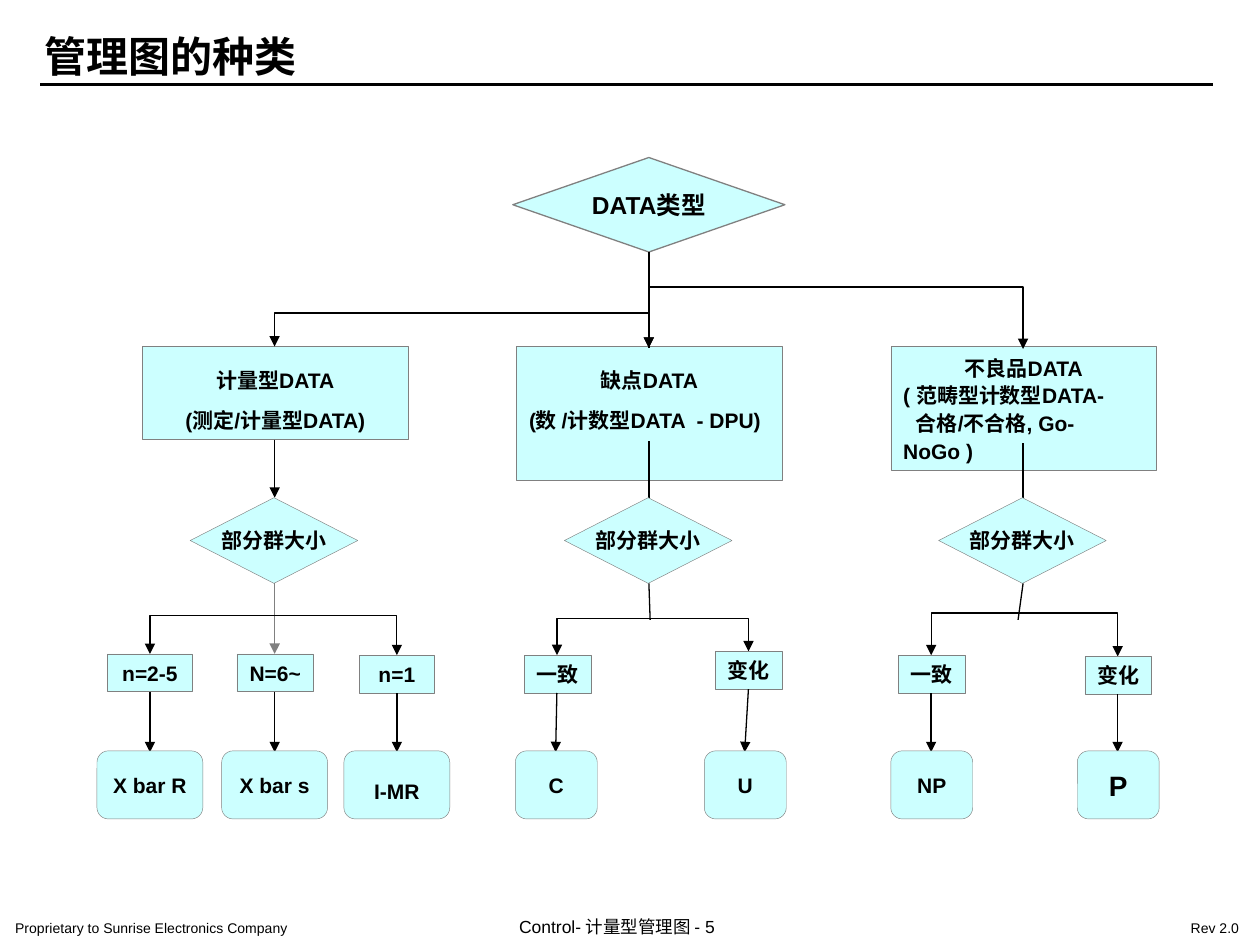
from lxml.etree import SubElement
from pptx import Presentation
from pptx.dml.color import RGBColor
from pptx.enum.shapes import MSO_CONNECTOR as LINK, MSO_SHAPE as KIND
from pptx.enum.text import MSO_ANCHOR, MSO_AUTO_SIZE, PP_ALIGN
from pptx.oxml.ns import qn
from pptx.util import Pt

PX = 9144  # 100 px to the inch
BLACK, GREY, AQUA = "000000", "808080", "CCFFFF"


def color(code):
    return RGBColor.from_string(code)


def write(frame, lines, size, bold=True, align=PP_ALIGN.CENTER, wrap=False,
          pad=(10, 5), anchor=MSO_ANCHOR.TOP, space=None):
    frame.word_wrap = wrap
    frame.auto_size = MSO_AUTO_SIZE.NONE
    frame.vertical_anchor = anchor
    frame.margin_left = frame.margin_right = pad[0] * PX
    frame.margin_top = frame.margin_bottom = pad[1] * PX
    frame.text = "\n".join(lines)
    for para in frame.paragraphs:
        para.alignment = align
        para.line_spacing = space
        para.font.name = "Arial"
        para.font.size = Pt(size)
        para.font.bold = bold
        para.font.color.rgb = color(BLACK)


def block(slide, kind, x, y, w, h, lines, size=12, edge=0.25, **style):
    shape = slide.shapes.add_shape(kind, x * PX, y * PX, w * PX, h * PX)
    shape.shadow.inherit = False
    shape.fill.solid()
    shape.fill.fore_color.rgb = color(AQUA)
    shape.line.color.rgb = color(GREY)
    shape.line.width = Pt(edge)
    write(shape.text_frame, lines, size, **style)
    return shape


def link(slide, x1, y1, x2, y2, ends=(), tint=BLACK, kind=LINK.STRAIGHT, width=0.75):
    line = slide.shapes.add_connector(kind, x1 * PX, y1 * PX, x2 * PX, y2 * PX)
    line.line.color.rgb = color(tint)
    line.line.width = Pt(width)
    for end in ends:
        SubElement(line.line._ln, qn("a:" + end), type="triangle")
    SubElement(line.element.spPr, qn("a:effectLst"))
    return line


def fork(slide, x1, y1, x2, y2, top):
    """Double-headed elbow that rises from both ends to a bar at top."""
    tall, wide = abs(y2 - y1), x2 - x1
    left, high = (x1 + x2 - tall) / 2, (y1 + y2 - wide) / 2
    line = link(slide, left, high, left + tall, high + wide,
                ("headEnd", "tailEnd"), kind=LINK.ELBOW)
    # A turned elbow: the bar's height is a share of the end-to-end drop
    form = line.element.spPr.find(qn("a:xfrm"))
    form.set("flipH", "1")
    if y2 > y1:
        form.set("rot", "16200000")
        share = (top - y1) / tall
    else:
        form.set("rot", "5400000")
        form.set("flipV", "1")
        share = (y1 - top) / tall
    grid = line.element.spPr.find(qn("a:prstGeom"))
    marks = grid.find(qn("a:avLst"))
    if marks is None:
        marks = SubElement(grid, qn("a:avLst"))
    SubElement(marks, qn("a:gd"), name="adj1", fmla=f"val {round(share * 100000)}")


def frame(prs):
    """Title, rule and footer."""
    slide = prs.slides.add_slide(prs.slide_layouts[5])
    title = slide.shapes.title
    title.left, title.top, title.width, title.height = (n * PX for n in (25, 19, 400, 50))
    write(title.text_frame, ["管理图的种类"], 24, align=PP_ALIGN.LEFT, wrap=True)
    link(slide, 32, 67, 963, 67, width=1.5)
    for x, y, w, h, size, text in (
            (0, 724, 321, 25, 8, "Proprietary to Sunrise Electronics Company"),
            (400, 721, 242, 29, 10, "Control- 计量型管理图 - 5"),
            (933, 724, 67, 25, 8, "Rev 2.0")):
        box = slide.shapes.add_textbox(x * PX, y * PX, w * PX, h * PX)
        write(box.text_frame, [text], size, False, PP_ALIGN.LEFT, True, (12, 6))
    return slide


def branch(slide, x, y, card, join, stem, bar, leaves):
    """One data type: card, group-size diamond, then tags and chart names.

    x is the centre line and y the top; a leaf is (tag, chart, tag centre,
    tag width, tag top, chart centre, chart width).
    """
    lines, high, space, align = card
    body = block(slide, KIND.RECTANGLE, x - 105, y, 211, high, lines,
                 wrap=True, space=space)
    for para in body.text_frame.paragraphs[1:]:
        para.alignment = align
    link(slide, x, y + join[0], x, y + 120, join[1])
    block(slide, KIND.DIAMOND, x - 67, y + 120, 133, 68, ["部分群大小"],
          anchor=MSO_ANCHOR.MIDDLE)
    slant, drop, ends, tint = stem
    link(slide, x, y + 188, x + slant, y + drop, ends, tint)

    first, last = leaves[0], leaves[-1]
    fork(slide, x + first[2], y + first[4], x + last[2], y + last[4], y + bar)
    for tag, name, mid, wide, top, foot, span in leaves:
        block(slide, KIND.RECTANGLE, x + mid - wide // 2, y + top, wide, 30, [tag])
        link(slide, x + mid, y + top + 30, x + foot, y + 322, ("tailEnd",))
        leaf = block(slide, KIND.ROUNDED_RECTANGLE, x + foot - span // 2, y + 321,
                     span, 54, [name], size=16 if name == "P" else 12,
                     anchor=MSO_ANCHOR.MIDDLE)
        if name == "I-MR":
            leaf.text_frame.margin_top = 15 * PX
    return body


def main():
    prs = Presentation()
    prs.slide_width, prs.slide_height = 1000 * PX, 750 * PX
    slide = frame(prs)

    # Root
    block(slide, KIND.DIAMOND, 407, 125, 216, 75, ["DATA类型"], 14, 0.75,
          anchor=MSO_ANCHOR.MIDDLE)

    # Branches
    tail = ("tailEnd",)
    branch(slide, 218, 275,
           (["计量型DATA", "(测定/计量型DATA)"], 74, 1.6, PP_ALIGN.CENTER),
           (74, tail), (0, 244, tail, GREY), 213,
           [("n=2-5", "X bar R", -99, 68, 244, -99, 84),
            ("N=6~", "X bar s", 0, 61, 244, 0, 84),
            ("n=1", "I-MR", 97, 60, 245, 97, 84)])
    branch(slide, 515, 275,
           (["缺点DATA", "(数 /计数型DATA  - DPU)"], 106, 1.6, PP_ALIGN.LEFT),
           (75, ()), (1, 217, (), BLACK), 216,
           [("一致", "C", -73, 53, 245, -74, 65),
            ("变化", "U", 79, 53, 242, 76, 65)])
    body = branch(slide, 812, 275,
                  (["不良品DATA", "( 范畴型计数型DATA-", "合格/不合格, Go-NoGo )"],
                   98, 1.1, PP_ALIGN.LEFT),
                  (77, ()), (-4, 217, (), BLACK), 211,
                  [("一致", "NP", -73, 53, 245, -73, 65),
                   ("变化", "P", 75, 53, 246, 75, 65)])
    last = body.text_frame.paragraphs[-1]
    last._p.get_or_add_pPr().set("indent", str(10 * PX))

    # Root to branches
    fork(slide, 218, 275, 515, 276, 248)
    fork(slide, 515, 276, 812, 277, 227)
    link(slide, 515, 200, 515, 276)
    prs.save("out.pptx")


if __name__ == "__main__":
    main()
